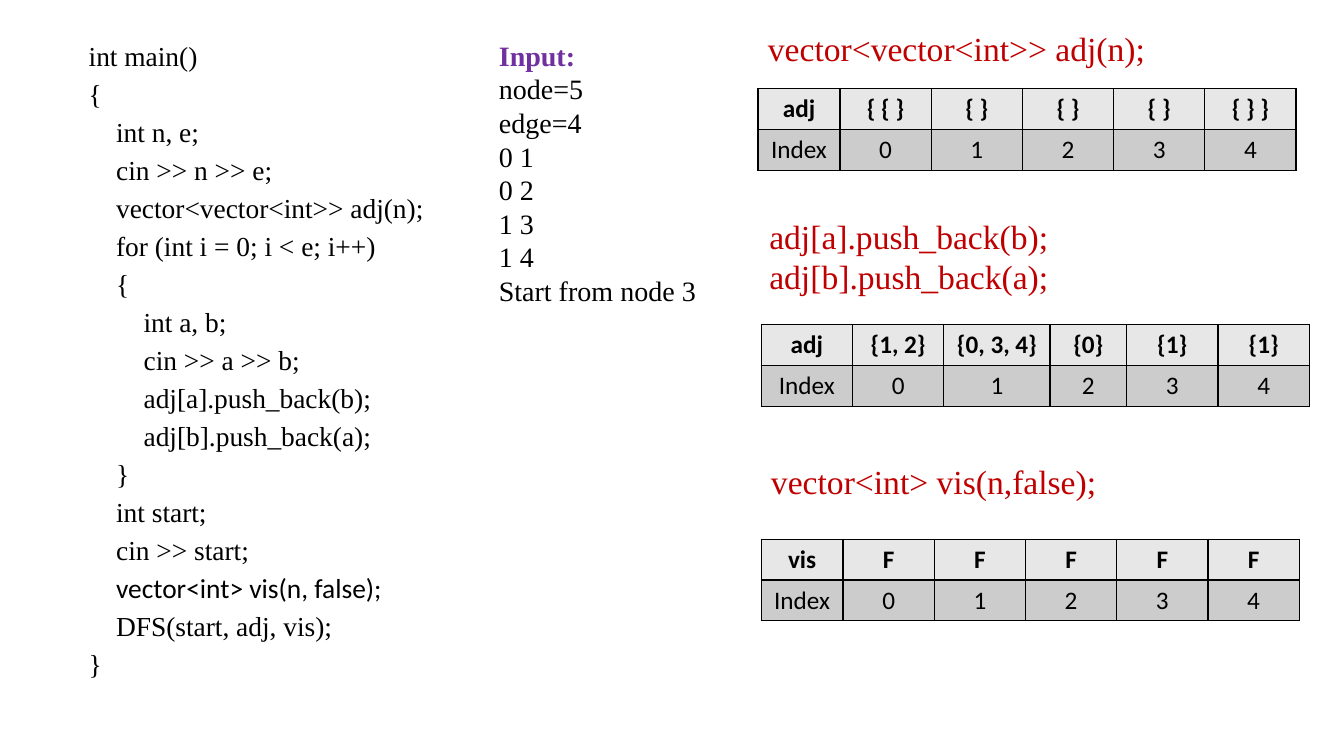
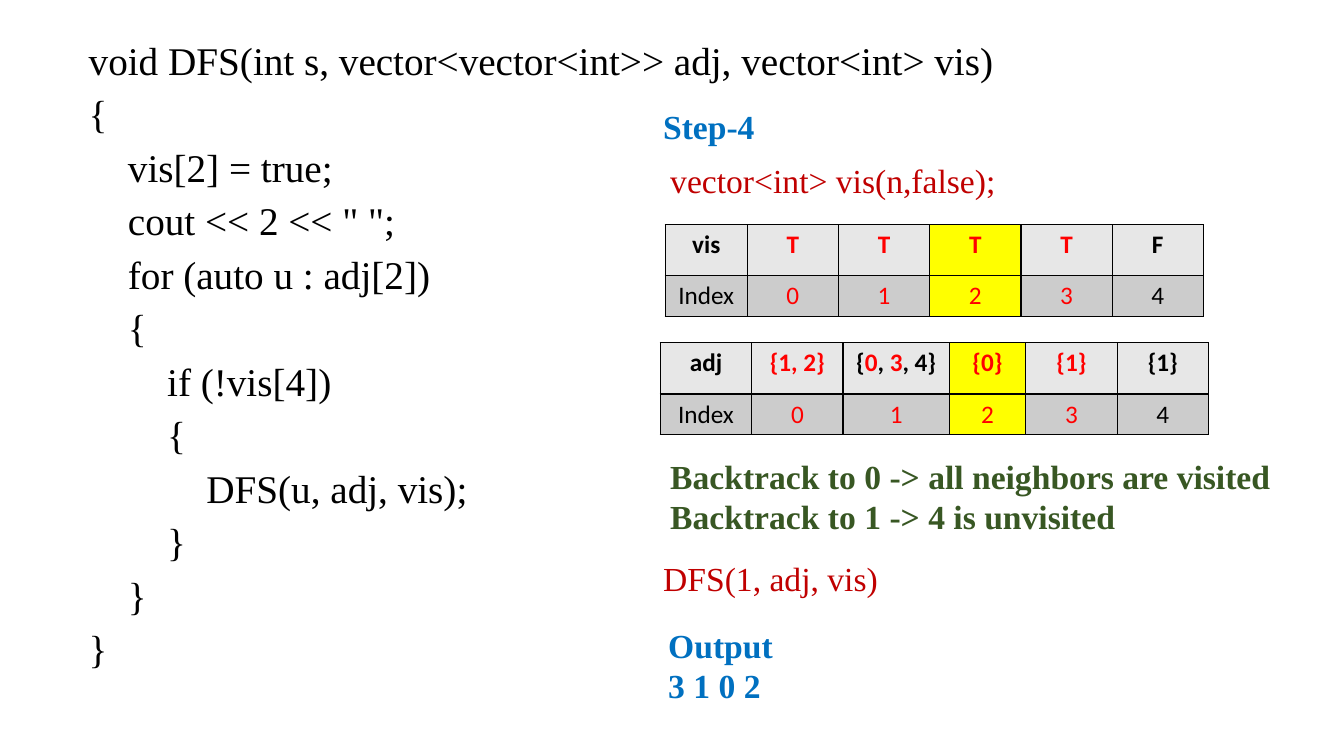
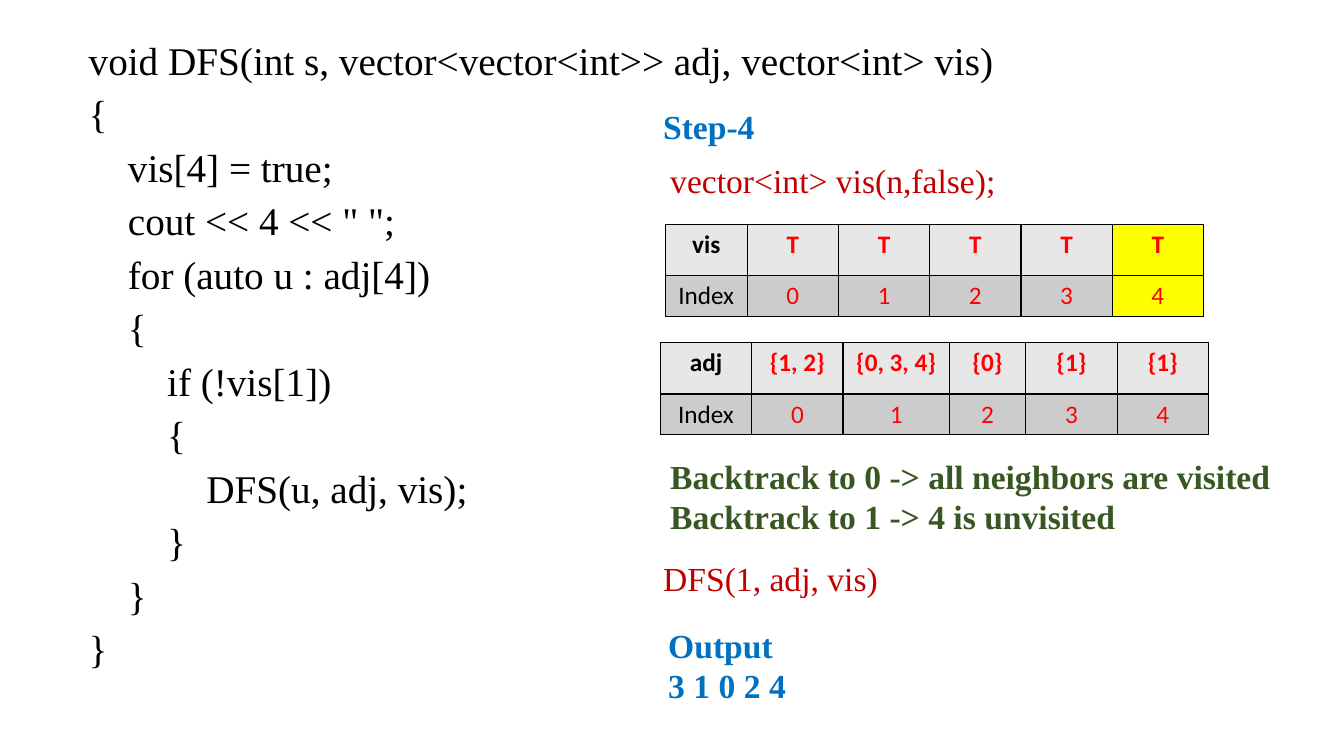
from pptx import Presentation, util as u
from pptx.dml.color import RGBColor
from pptx.enum import text
from pptx.oxml.ns import qn
from lxml import etree

WIDTH, HEIGHT = u.Inches(13.33), u.Inches(7.5)
BLACK = RGBColor(0x00, 0x00, 0x00)
RED = RGBColor(0xFF, 0x00, 0x00)
CRIMSON = RGBColor(0xC0, 0x00, 0x00)
PURPLE = RGBColor(0x70, 0x30, 0xA0)
BLUE = RGBColor(0x00, 0x70, 0xC0)
GREEN = RGBColor(0x38, 0x57, 0x23)
YELLOW = RGBColor(0xFF, 0xFF, 0x00)
ENTRY_GRAY = RGBColor(0xE7, 0xE7, 0xE7)
INDEX_GRAY = RGBColor(0xCC, 0xCC, 0xCC)
SERIF, SANS = "Times New Roman", "Calibri"

VIS_COLUMNS = [6.1] + [6.79] * 5
ADJ_COLUMNS = [6.8, 6.8, 7.9, 5.7, 6.8, 6.8]
ROW = 5.4
ONE_LINE, TWO_LINES = 6.67, 12.13
NEIGHBORS = ["{1, 2}", "{0, 3, 4}", "{0}", "{1}", "{1}"]

MAIN_CODE = [
    (0, "int main()"),
    (0, "{"),
    (1, "int n, e;"),
    (1, "cin >> n >> e;"),
    (1, "vector<vector<int>> adj(n);"),
    (1, "for (int i = 0; i < e; i++)"),
    (1, "{"),
    (2, "int a, b;"),
    (2, "cin >> a >> b;"),
    (2, "adj[a].push_back(b);"),
    (2, "adj[b].push_back(a);"),
    (1, "}"),
    (1, "int start;"),
    (1, "cin >> start;"),
    (1, "vector<int> vis(n, false);"),
    (1, "DFS(start, adj, vis);"),
    (0, "}"),
]


def across(percent):
    return round(WIDTH * percent / 100)


def down(percent):
    return round(HEIGHT * percent / 100)


def add_run(paragraph, words, size, color, bold=False, font=SERIF):
    run = paragraph.add_run()
    run.text = words
    run.font.name = font
    run.font.size = u.Pt(size)
    run.font.bold = bold
    run.font.color.rgb = color


def next_paragraph(frame, number):
    return frame.add_paragraph() if number else frame.paragraphs[0]


def add_code(deck, lines, top, size, spacing, sans_lines=()):
    slide = deck.slides.add_slide(deck.slide_layouts[1])
    title = slide.shapes.title.element
    title.getparent().remove(title)
    code = slide.placeholders[1]
    code.left, code.top = across(5.85), down(top)
    code.width, code.height = across(86.25), down(88.8)
    frame = code.text_frame
    frame.auto_size = text.MSO_AUTO_SIZE.NONE
    frame.vertical_anchor = text.MSO_ANCHOR.TOP
    for number, (depth, words) in enumerate(lines):
        paragraph = next_paragraph(frame, number)
        paragraph.line_spacing = spacing
        paragraph.space_before = u.Pt(10)
        properties = paragraph._p.get_or_add_pPr()
        properties.set("marL", str(u.Pt(size * depth)))
        properties.set("indent", "0")
        etree.SubElement(properties, qn("a:buNone"))
        add_run(paragraph, words, size, BLACK, font=SANS if words in sans_lines else SERIF)
    return slide


def add_note(slide, left, top, width, height, lines, color, bold=False, size=24):
    note = slide.shapes.add_textbox(across(left), down(top), across(width), down(height))
    note.text_frame.word_wrap = True
    for number, words in enumerate(lines):
        add_run(next_paragraph(note.text_frame, number), words, size, color, bold)
    return note


def add_borders(cell):
    properties = cell._tc.get_or_add_tcPr()
    for side in ("a:lnL", "a:lnR", "a:lnT", "a:lnB"):
        line = etree.SubElement(properties, qn(side), w=str(u.Pt(1)))
        fill = etree.SubElement(line, qn("a:solidFill"))
        etree.SubElement(fill, qn("a:srgbClr"), val=str(BLACK))


def fill_cell(cell, runs, background, bold):
    add_borders(cell)
    cell.fill.solid()
    cell.fill.fore_color.rgb = background
    paragraph = cell.text_frame.paragraphs[0]
    paragraph.alignment = text.PP_ALIGN.CENTER
    for words, color in runs:
        add_run(paragraph, words, 18, color, bold, SANS)


def add_array(slide, left, top, name, entries, columns, entry_row=ROW, visited=(), current=None):
    heights = [entry_row, ROW]
    table = slide.shapes.add_table(2, len(columns), across(left), down(top),
                                   across(sum(columns)), down(sum(heights))).table
    table.first_row = table.horz_banding = False
    for column, width in zip(table.columns, columns):
        column.width = across(width)
    for row, height in zip(table.rows, heights):
        row.height = down(height)
    rows = [(name, entries, ENTRY_GRAY), ("Index", [str(i) for i in range(len(entries))], INDEX_GRAY)]
    for row, (label, values, gray) in enumerate(rows):
        bold = row == 0
        fill_cell(table.cell(row, 0), [(label, BLACK)], gray, bold)
        for node, value in enumerate(values):
            color = RED if node in visited else BLACK
            runs = [(value, color)] if isinstance(value, str) else value
            background = YELLOW if node == current else gray
            fill_cell(table.cell(row, node + 1), runs, background, bold)


def add_main_slide(deck):
    slide = add_code(deck, MAIN_CODE, 5.6, 19.6, 0.73, ["vector<int> vis(n, false);"])
    sample = ["node=5", "edge=4", "0 1", "0 2", "1 3", "1 4", "Start from node 3"]
    box = add_note(slide, 36.38, 4.4, 18, 37.2, ["Input:"], PURPLE, True, 20)
    for words in sample:
        add_run(box.text_frame.add_paragraph(), words, 20, BLACK)
    add_note(slide, 56.4, 3.07, 30.83, ONE_LINE, ["vector<vector<int>> adj(n);"], CRIMSON)
    add_array(slide, 56.4, 11.73, "adj", ["{ { }", "{ }", "{ }", "{ }", "{ } }"], VIS_COLUMNS)
    add_note(slide, 56.5, 27.87, 39, TWO_LINES, ["adj[a].push_back(b);", "adj[b].push_back(a);"], CRIMSON)
    add_array(slide, 56.63, 42.93, "adj", NEIGHBORS, ADJ_COLUMNS)
    add_note(slide, 56.63, 60.27, 30.83, ONE_LINE, ["vector<int> vis(n,false);"], CRIMSON)
    add_array(slide, 56.63, 71.33, "vis", ["F"] * 5, VIS_COLUMNS)


def add_step_slide(deck, node, checked, visited, neighbors, adj_current, output):
    code = [
        (0, "void DFS(int s, vector<vector<int>> adj, vector<int> vis)"),
        (0, "{"),
        (1, f"vis[{node}] = true;"),
        (1, f'cout << {node} << " ";'),
        (1, f"for (auto u : adj[{node}])"),
        (1, "{"),
        (2, f"if (!vis[{checked}])"),
        (2, "{"),
        (3, "DFS(u, adj, vis);"),
        (2, "}"),
        (1, "}"),
        (0, "}"),
    ]
    slide = add_code(deck, code, 5.07, 28, 0.84)
    flags = ["T" if i in visited else "F" for i in range(5)]
    add_note(slide, 48.6, 13.33, 39, ONE_LINE, ["Step-4"], BLUE, True)
    add_note(slide, 49.13, 20.53, 30.83, ONE_LINE, ["vector<int> vis(n,false);"], CRIMSON)
    add_array(slide, 49.5, 29.73, "vis", flags, VIS_COLUMNS, 6.7, visited, node)
    add_array(slide, 49.13, 45.33, "adj", neighbors, ADJ_COLUMNS, 6.8, visited, adj_current)
    add_note(slide, 49.13, 59.6, 49.95, TWO_LINES,
             ["Backtrack to 0 -> all neighbors are visited", "Backtrack to 1 -> 4 is unvisited"], GREEN, True)
    add_note(slide, 48.6, 73.2, 39, ONE_LINE, ["DFS(1, adj, vis)"], CRIMSON)
    add_note(slide, 48.98, 82, 39, TWO_LINES, ["Output", output], BLUE, True)


def main():
    deck = Presentation()
    deck.slide_width, deck.slide_height = WIDTH, HEIGHT
    add_main_slide(deck)
    partly_visited = [("{", BLACK), ("0", RED), (", ", BLACK), ("3", RED), (", 4}", BLACK)]
    add_step_slide(deck, 2, 4, range(4), [NEIGHBORS[0], partly_visited, *NEIGHBORS[2:]], 2, "3 1 0 2")
    add_step_slide(deck, 4, 1, range(5), NEIGHBORS, None, "3 1 0 2 4")
    deck.save("out.pptx")


if __name__ == "__main__":
    main()
